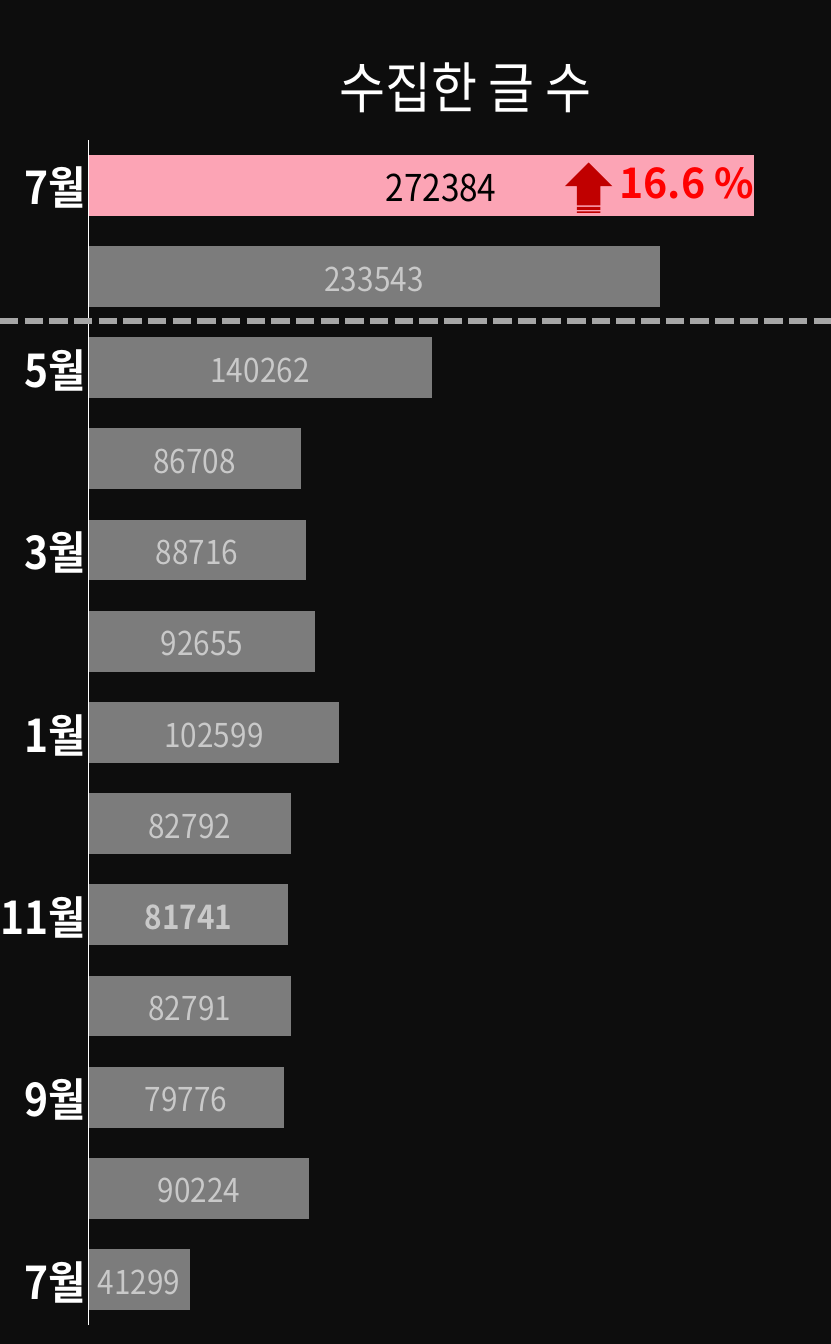
from dataclasses import dataclass
from typing import Optional

from lxml.etree import SubElement
from pptx import Presentation
from pptx.chart.chart import Chart
from pptx.chart.data import CategoryChartData
from pptx.dml.color import RGBColor
from pptx.enum.chart import (XL_CHART_TYPE, XL_LABEL_POSITION, XL_TICK_LABEL_POSITION,
                             XL_TICK_MARK)
from pptx.enum.dml import MSO_LINE
from pptx.enum.shapes import MSO_CONNECTOR, MSO_SHAPE
from pptx.oxml import parse_xml
from pptx.oxml.ns import nsdecls, qn
from pptx.slide import Slide
from pptx.text.text import Font
from pptx.util import Cm, Pt

FONT = "Noto Sans CJK KR"
COLORS = {
    "background": "0D0D0D", "text": "FFFFFF", "bar": "7C7C7C", "latest": "FCA4B5",
    "value": "C9C9C9", "latest_value": "000000", "growth": "FF0000",
    "arrow": "C00000", "divider": "A6A6A6",
}
WIDTH, HEIGHT = Cm(28.58), Cm(46.23)


@dataclass(frozen=True)
class Month:
    name: str
    posts: int


@dataclass(frozen=True)
class Highlight:
    month: int
    size: int
    color: str
    bold: bool = False
    shift: float = 0
    fill: Optional[str] = None


MONTHS = [
    Month("7월", 41299), Month("8월", 90224), Month("9월", 79776), Month("10월", 82791),
    Month("11월", 81741), Month("12월", 82792), Month("1월", 102599), Month("2월", 92655),
    Month("3월", 88716), Month("4월", 86708), Month("5월", 140262), Month("6월", 233543),
    Month("7월", 272384),
]
HIGHLIGHTS = [
    Highlight(4, 32, "value", bold=True),
    Highlight(12, 36, "latest_value", shift=0.026, fill="latest"),
]


def rgb(name: str) -> RGBColor:
    return RGBColor.from_string(COLORS[name])


def style(font: Font, size: int, color: str, bold: bool = False) -> None:
    font.size, font.bold, font.name = Pt(size), bold, FONT
    font.color.rgb = rgb(color)
    SubElement(font._rPr, qn("a:ea")).set("typeface", FONT)


def place(parent, index: int, inner: bool = False, **fractions: float) -> None:
    """Give a chart part a manual layout in fractions of the chart."""
    for old in parent.findall(qn("c:layout")):
        parent.remove(old)
    target = '<c:layoutTarget val="inner"/>' if inner else ""
    modes = "" if "dx" in fractions else '<c:xMode val="edge"/><c:yMode val="edge"/>'
    values = "".join(f'<c:{key[-1]} val="{value}"/>' for key, value in fractions.items())
    parent.insert(index, parse_xml(
        f'<c:layout {nsdecls("c")}><c:manualLayout>{target}{modes}{values}'
        "</c:manualLayout></c:layout>"))


def format_axes(chart: Chart) -> None:
    months = chart.category_axis
    months.major_tick_mark = months.minor_tick_mark = XL_TICK_MARK.NONE
    months.tick_label_position = XL_TICK_LABEL_POSITION.NEXT_TO_AXIS
    months.has_major_gridlines = False
    months.format.line.color.rgb = rgb("text")
    months.format.line.width = Pt(0.75)
    style(months.tick_labels.font, 44, "text", bold=True)

    posts = chart.value_axis
    posts.minimum_scale, posts.maximum_scale = 0, 300000
    posts.has_major_gridlines = False
    posts.visible = False


def format_bars(chart: Chart) -> None:
    plot = chart.plots[0]
    plot.gap_width, plot.overlap = 50, 100
    plot.vary_by_categories = False
    bars = plot.series[0]
    bars.format.fill.solid()
    bars.format.fill.fore_color.rgb = rgb("bar")

    labels = bars.data_labels
    labels.show_value = True
    labels.position = XL_LABEL_POSITION.CENTER
    style(labels.font, 32, "value")

    for mark in HIGHLIGHTS:
        point = bars.points[mark.month]
        label = point.data_label
        style(label.font, mark.size, mark.color, mark.bold)
        label.position = XL_LABEL_POSITION.CENTER
        if mark.shift:
            place(label._dLbl, 1, dx=mark.shift, dy=0)
        if mark.fill:
            point.format.fill.solid()
            point.format.fill.fore_color.rgb = rgb(mark.fill)


def add_post_chart(slide: Slide) -> None:
    data = CategoryChartData()
    data.categories = [month.name for month in MONTHS]
    data.add_series("Series 1", [month.posts for month in MONTHS])
    chart = slide.shapes.add_chart(
        XL_CHART_TYPE.BAR_STACKED, 0, 0, WIDTH, HEIGHT, data).chart
    chart.has_legend = False
    chart.font.size, chart.font.name = Pt(10), "Calibri"
    chart.font.color.rgb = rgb("text")

    heading = chart.chart_title
    heading.text_frame.text = "수집한 글 수"
    style(heading.text_frame.paragraphs[0].runs[0].font, 54, "text")
    place(heading._element, 1, x=0.333, y=0.02)
    # The month names hang out to the left of the plot
    place(chart._chartSpace.chart.plotArea, 0, inner=True, x=0.011, y=0.104, w=0.977, h=0.882)
    format_axes(chart)
    format_bars(chart)


def add_growth(slide: Slide) -> None:
    growth = slide.shapes.add_textbox(Cm(21.06), Cm(5.28), Cm(5.38), Cm(1.96)).text_frame
    growth.word_wrap = False
    growth.text = "16.6 %"
    style(growth.paragraphs[0].runs[0].font, 40, "growth", bold=True)


def add_divider(slide: Slide) -> None:
    divider = slide.shapes.add_connector(
        MSO_CONNECTOR.STRAIGHT, 0, Cm(11.05), WIDTH, Cm(11.05))
    divider.line.color.rgb = rgb("divider")
    divider.line.width = Pt(6)
    divider.line.dash_style = MSO_LINE.SQUARE_DOT
    SubElement(divider._element.spPr, qn("a:effectLst"))


def add_arrow(slide: Slide) -> None:
    arrow = slide.shapes.add_shape(
        MSO_SHAPE.STRIPED_RIGHT_ARROW, Cm(19.38), Cm(5.64), Cm(1.73), Cm(1.63))
    arrow.rotation = 270
    arrow.shadow.inherit = False
    arrow.fill.solid()
    arrow.fill.fore_color.rgb = rgb("arrow")
    arrow.line.fill.background()


def main() -> None:
    deck = Presentation()
    deck.slide_width, deck.slide_height = WIDTH, HEIGHT
    slide = deck.slides.add_slide(deck.slide_layouts[6])
    slide.background.fill.solid()
    slide.background.fill.fore_color.rgb = rgb("background")

    # Monthly post counts
    add_post_chart(slide)
    # Growth of the latest month
    add_growth(slide)
    # Line between the last two months and the earlier ones
    add_divider(slide)
    add_arrow(slide)
    deck.save("out.pptx")


if __name__ == "__main__":
    main()
